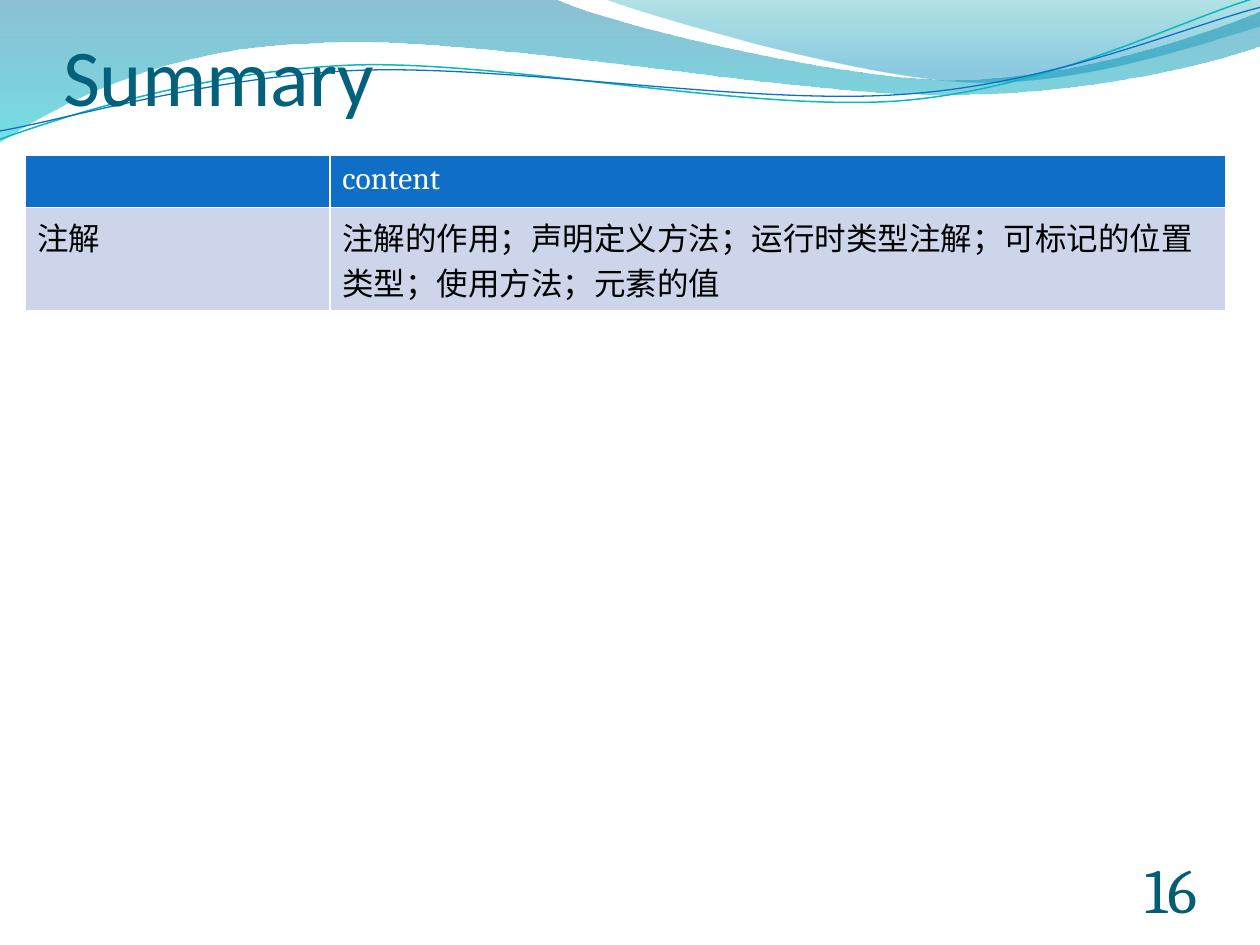
import lxml.etree
import pptx
import pptx.dml.color
import pptx.enum.text
import pptx.oxml.ns
import pptx.util

Cm, Pt = pptx.util.Cm, pptx.util.Pt
RGB = pptx.dml.color.RGBColor
ALIGN = pptx.enum.text.PP_ALIGN
qn = pptx.oxml.ns.qn

WHITE = RGB(0xFF, 0xFF, 0xFF)
BLACK = RGB(0, 0, 0)
BLUE = RGB(0x0F, 0x6F, 0xC6)
PALE = RGB(0xCC, 0xD5, 0xEA)
TEAL = RGB(0x0A, 0xB8, 0xBF)
TITLE = RGB(0x04, 0x61, 0x7B)
NUMBER = RGB(0x04, 0x5D, 0x75)
DEEP = RGB(0x00, 0x74, 0xA1)
AQUA = RGB(0x00, 0xC6, 0xCF)
SEA = RGB(0x00, 0xA1, 0xA9)
SKY = RGB(0x00, 0x8B, 0xBF)

BAND = [
    (0, 0), (11.18, -0.03),
    (12.09, 0.43, 16.87, 1.6, 19.25, 1.6),
    (21.67, 1.6, 24.33, 0.66, 25.4, 0.23),
    (25.43, 0.91),
    (24.97, 1.12, 22.1, 1.93, 18.95, 1.91),
    (15.8, 1.91, 9.7, 0.71, 6.53, 0.86),
    (3.28, 0.91, 1.17, 2.11, -0.03, 2.87),
    (0, 0),
]
CREST = [
    (12.17, -0.03),
    (12.93, 0.28, 17.32, 1.57, 19.53, 1.65),
    (21.74, 1.75, 24.41, 0.81, 25.4, 0.53),
    (25.4, 0), (12.17, -0.03),
]
UPPER = [
    (-0.05, 2.21),
    (1.19, 1.83, 4.01, 1.04, 7.05, 1.05),
    (10.05, 1.07, 15.02, 2.37, 18.08, 2.29),
    (21.13, 2.2, 23.86, 0.91, 25.4, 0.55),
]
LOWER = [
    (-0.04, 2.04),
    (1.16, 1.9, 4.17, 1.15, 7.2, 1.16),
    (10.25, 1.18, 15.13, 2.25, 18.19, 2.16),
    (21.21, 2.1, 23.93, 1.06, 25.45, 0.75),
]
ROWS = [
    ("", "content"),
    ("注解", "注解的作用；声明定义方法；运行时类型注解；可标记的位置类型；使用方法；元素的值"),
]


def bend(shape, steps):
    """Join each three segments of a cubic step into one curve."""
    lines = iter(list(shape._element.iter(qn("a:lnTo"))))
    for step in steps[1:]:
        line = next(lines)
        if len(step) == 2:
            continue
        curve = lxml.etree.Element(qn("a:cubicBezTo"))
        line.addprevious(curve)
        for part in (line, next(lines), next(lines)):
            curve.append(part[0])
            part.getparent().remove(part)


def add_path(slide, steps, close):
    """Draw a free outline without shadow."""
    first, *rest = [(Cm(step[i]), Cm(step[i + 1]))
                    for step in steps for i in range(0, len(step), 2)]
    form = slide.shapes.build_freeform(*first)
    form.add_line_segments(rest, close=close)
    shape = form.convert_to_shape()
    bend(shape, steps)
    shape.shadow.inherit = False
    return shape


def add_wave(slide, steps, stops):
    """Draw a closed wave with a clear vertical gradient."""
    shape = add_path(slide, steps, True)
    shape.line.fill.background()
    shape.fill.gradient()
    shape.fill.gradient_angle = 270
    for stop, (place, color, alpha) in zip(shape.fill.gradient_stops, stops):
        stop.position = place
        stop.color.rgb = color
    marks = shape._element.spPr.iter(qn("a:srgbClr"))
    for mark, (place, color, alpha) in zip(marks, stops):
        lxml.etree.SubElement(mark, qn("a:alpha"), val=str(alpha * 1000))


def add_curve(slide, steps, color, width):
    """Draw an open, slightly turned curve."""
    shape = add_path(slide, steps, False)
    shape.rotation = 357.3
    shape.fill.background()
    shape.line.color.rgb = color
    shape.line.width = Pt(width)


def set_text(shape, text, name, size, color, align, top=0):
    """Fill a shape with one bottom-anchored line."""
    frame = shape.text_frame
    frame.text = text
    frame.word_wrap = True
    frame.auto_size = pptx.enum.text.MSO_AUTO_SIZE.NONE
    frame.vertical_anchor = pptx.enum.text.MSO_ANCHOR.BOTTOM
    frame.margin_left = frame.margin_right = frame.margin_bottom = 0
    frame.margin_top = Cm(top)
    line = frame.paragraphs[0]
    line.alignment = align
    line.font.name, line.font.size = name, Pt(size)
    line.font.color.rgb = color


def add_title(slide, text):
    """Place the title in front of the waves."""
    title = slide.shapes.title
    slide.shapes._spTree.append(title._element)
    title.left, title.top = Cm(1.27), Cm(0.39)
    title.width, title.height = Cm(22.86), Cm(2.08)
    set_text(title, text, "Calibri", 46, TITLE, ALIGN.LEFT, 0.13)


def add_number(slide, text):
    """Write the page number at the lower right."""
    box = slide.shapes.add_textbox(Cm(22.02), Cm(17.65), Cm(2.11), Cm(1.02))
    set_text(box, text, "Cambria", 36, NUMBER, ALIGN.RIGHT)


def add_grid(slide, rows):
    """Build the summary table."""
    frame = slide.shapes.add_table(
        len(rows), 2, Cm(0.5), Cm(3.12), Cm(24.21), Cm(2.84))
    grid = frame.table
    for col, width in zip(grid.columns, (6.15, 18.06)):
        col.width = Cm(width)
    for row in grid.rows:
        row.height = Cm(1.06)
    frame.height = Cm(2.84)
    for r, texts in enumerate(rows):
        for c, text in enumerate(texts):
            cell = grid.cell(r, c)
            cell.text = text
            cell.fill.solid()
            cell.fill.fore_color.rgb = PALE if r else BLUE
            font = cell.text_frame.paragraphs[0].font
            font.name, font.size, font.bold = "Cambria", Pt(18), False
            font.color.rgb = BLACK if r else WHITE


def main():
    """Build the summary slide."""
    deck = pptx.Presentation()
    deck.slide_width, deck.slide_height = Cm(25.4), Cm(19.05)
    slide = deck.slides.add_slide(deck.slide_layouts[5])
    add_wave(slide, BAND, [(0, DEEP, 45), (1, AQUA, 55)])
    add_wave(slide, CREST, [(0, SEA, 30), (0.8, SKY, 45)])
    add_curve(slide, UPPER, TEAL, 0.85)
    add_curve(slide, LOWER, BLUE, 0.75)
    add_title(slide, "Summary")
    add_number(slide, "16")
    add_grid(slide, ROWS)
    deck.save("out.pptx")


if __name__ == "__main__":
    main()
